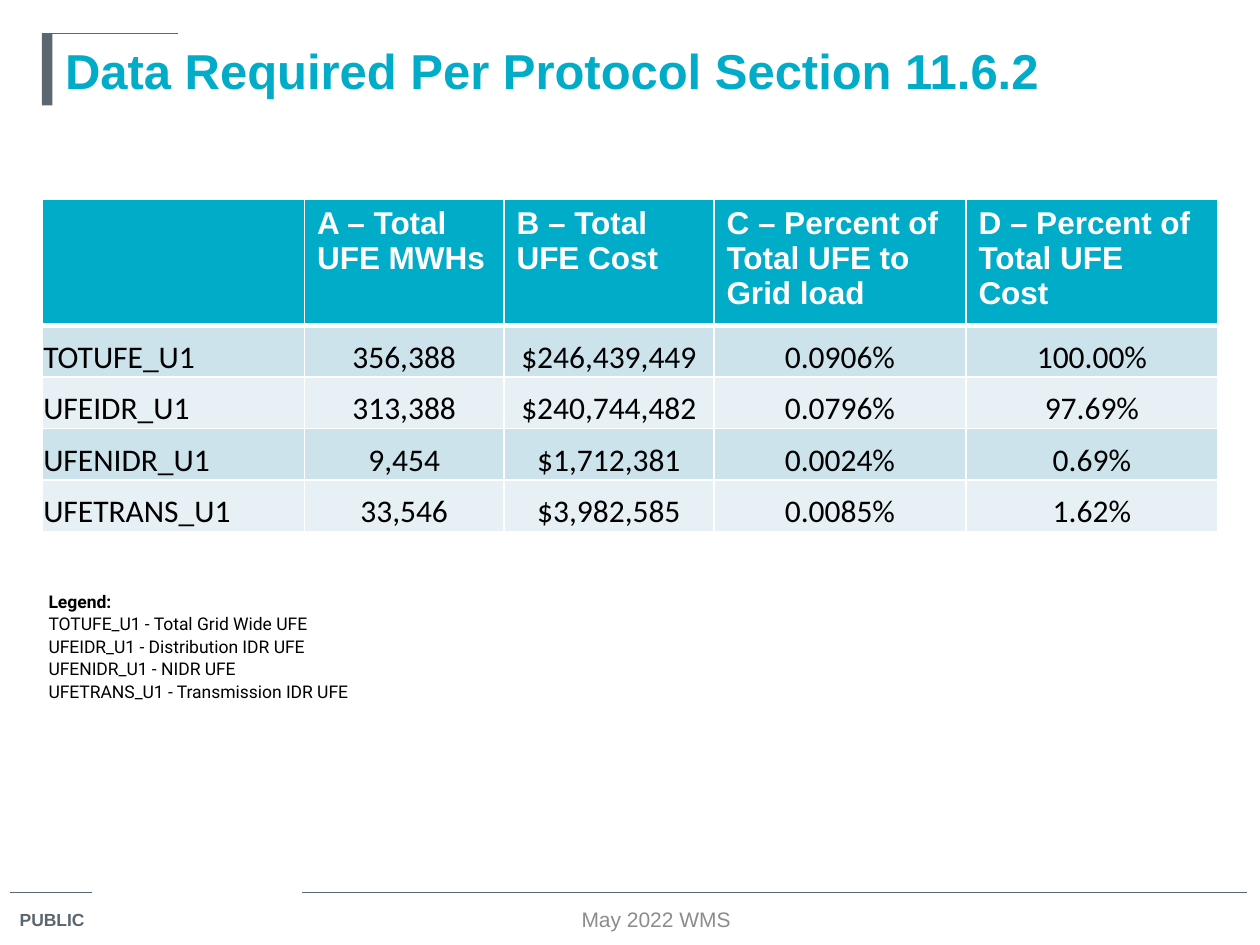
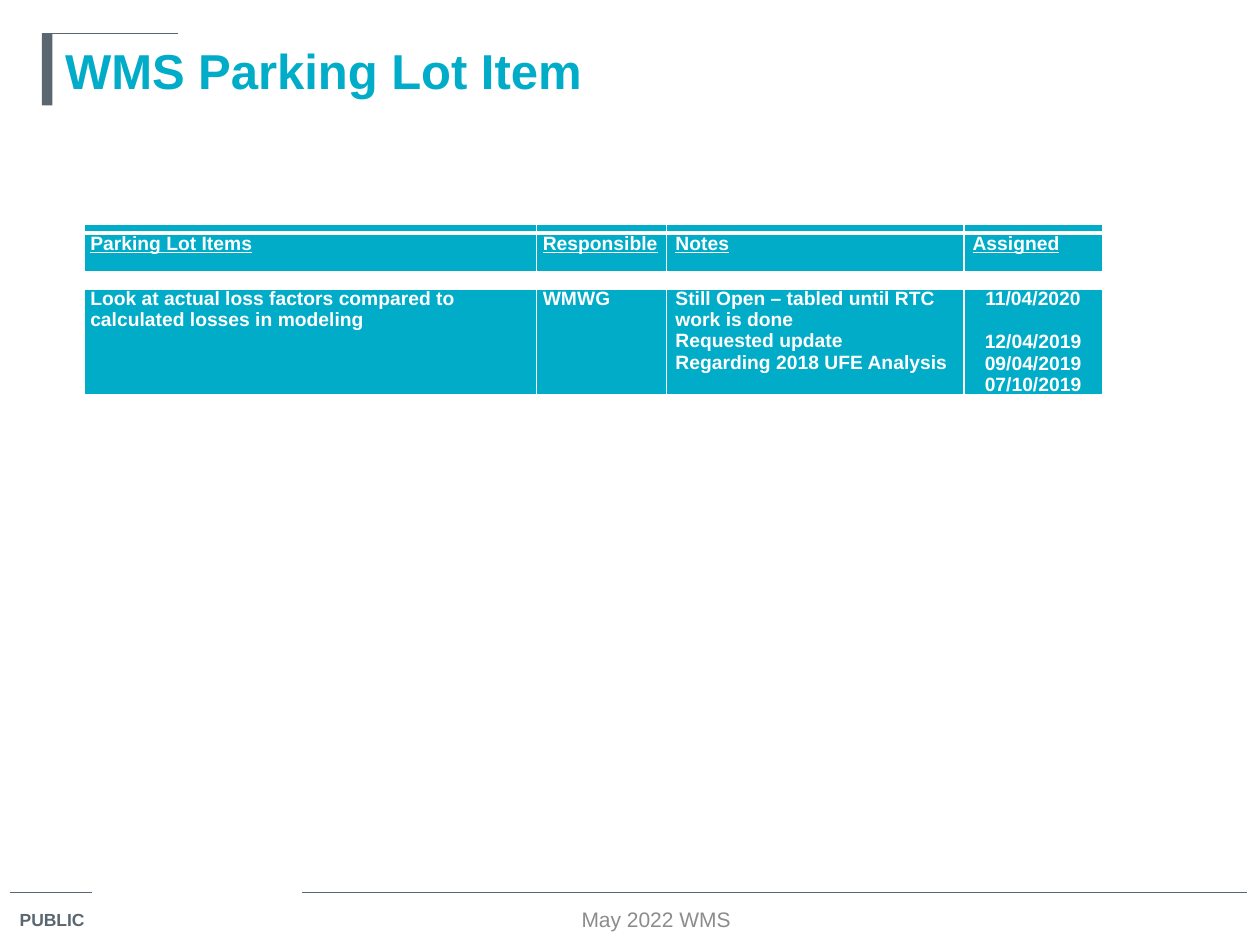
"""Builds the two UFE report slides."""
from dataclasses import dataclass, replace
from typing import NamedTuple, Optional

from lxml.etree import SubElement
from pptx import Presentation
from pptx.dml.color import RGBColor
from pptx.enum.shapes import MSO_CONNECTOR, MSO_SHAPE
from pptx.enum.text import MSO_ANCHOR as Anchor, MSO_AUTO_SIZE, PP_ALIGN as Align
from pptx.oxml.ns import qn
from pptx.util import Inches, Pt

SLIDE_W, SLIDE_H = Inches(10), Inches(7.5)
GRID_COLS, GRID_ROWS = 120, 90
TEAL, SLATE, GREY, WHITE, BLACK = "00ACC8", "5B6770", "8C8C8C", "FFFFFF", "000000"
BANDS = ("CCE3EB", "E7F1F5")


class Box(NamedTuple):
    left: float
    top: float
    width: float
    height: float


class Rule(NamedTuple):
    x1: float
    y1: float
    x2: float
    y2: float


class Inset(NamedTuple):
    left: float
    top: float
    right: float
    bottom: float


@dataclass(frozen=True)
class Style:
    size: float
    color: str
    font: str = "Arial"
    bold: bool = False
    underline: bool = False
    align: Align = Align.LEFT
    anchor: Anchor = Anchor.TOP
    inset: Inset = Inset(1.2, 0.6, 1.2, 0.6)
    fill: Optional[str] = None
    first_gap: float = 0


@dataclass(frozen=True)
class Row:
    height: float
    texts: tuple[str, ...]
    styles: tuple[Style, ...]
    top: float = 1
    bottom: float = 1
    merged: bool = False


TITLE = Style(28, TEAL, bold=True, anchor=Anchor.MIDDLE)
LABEL = Style(10, SLATE, bold=True)
FOOTER = Style(12, GREY, align=Align.CENTER, anchor=Anchor.MIDDLE)
TITLE_BOX = Box(5, 3.2, 111, 6.85)
LABEL_BOX = Box(0.7, 86, 9.25, 3.35)
FOOTER_BOX = Box(36, 86, 53, 3)
BAR = Box(4, 3.2, 1, 6.85)
RULES = (Rule(1, 85, 8.8, 85), Rule(28.8, 85, 118.8, 85), Rule(4, 3.2, 17, 3.2))

HEAD = Style(18, WHITE, bold=True, fill=TEAL)
TIGHT = Inset(0.12, 0.12, 0.12, 0)
NAME = Style(18, BLACK, "Calibri", anchor=Anchor.BOTTOM, inset=TIGHT)
LEGEND = Style(10, BLACK, "Roboto", anchor=Anchor.BOTTOM, inset=TIGHT)
ITEM = Style(11, WHITE, bold=True, inset=Inset(0.6, 0, 0.6, 0.6), fill=TEAL)
NOTE = replace(ITEM, inset=Inset(0.84, 0, 0.84, 0))
DATE = replace(NOTE, align=Align.CENTER, first_gap=12.65)
ITEM_STYLES = (ITEM, ITEM, NOTE, DATE)
ITEM_HEADS = tuple(replace(s, underline=True) for s in (ITEM, ITEM, NOTE, NOTE))

UFE_COLS = (25, 19, 20, 24, 24)
UFE_HEADS = ("", "A – Total\nUFE MWHs", "B – Total\nUFE Cost",
             "C – Percent of\nTotal UFE to\nGrid load",
             "D – Percent of\nTotal UFE\nCost")
UFE_VALUES = (
    ("TOTUFE_U1", "356,388", "$246,439,449", "0.0906%", "100.00%"),
    ("UFEIDR_U1", "313,388", "$240,744,482", "0.0796%", "97.69%"),
    ("UFENIDR_U1", "9,454", "$1,712,381", "0.0024%", "0.69%"),
    ("UFETRANS_U1", "33,546", "$3,982,585", "0.0085%", "1.62%"),
)
LEGEND_COLS = (19.35, 23.4)
LEGEND_LINES = (
    "TOTUFE_U1 - Total Grid Wide UFE",
    "UFEIDR_U1 - Distribution IDR UFE",
    "UFENIDR_U1 - NIDR UFE",
    "UFETRANS_U1 - Transmission IDR UFE",
)
ITEM_COLS = (43.1, 12.4, 28.3, 13.2)
ITEM_TITLES = ("Parking Lot Items", "Responsible", "Notes", "Assigned")
ITEM_TEXTS = (
    "Look at actual loss factors compared to calculated losses in modeling",
    "WMWG",
    "Still Open – tabled until RTC work is done\nRequested update\n"
    "Regarding 2018 UFE Analysis",
    "11/04/2020\n12/04/2019\n09/04/2019\n07/10/2019",
)


def rgb(color: str) -> RGBColor:
    return RGBColor.from_string(color)


def gx(cols: float) -> int:
    return round(SLIDE_W * cols / GRID_COLS)


def gy(rows: float) -> int:
    return round(SLIDE_H * rows / GRID_ROWS)


def place(box: Box) -> tuple[int, int, int, int]:
    return gx(box.left), gy(box.top), gx(box.width), gy(box.height)


def set_insets(holder, inset: Inset) -> None:
    holder.margin_left, holder.margin_right = gx(inset.left), gx(inset.right)
    holder.margin_top, holder.margin_bottom = gy(inset.top), gy(inset.bottom)


def write(tf, text: str, style: Style) -> None:
    for i, line in enumerate(text.split("\n")):
        p = tf.add_paragraph() if i else tf.paragraphs[0]
        p.alignment = style.align
        p.space_before = Pt(0)
        p.space_after = Pt(0 if i else style.first_gap)
        r = p.add_run()
        r.text = line
        font = r.font
        font.name, font.size = style.font, Pt(style.size)
        font.bold, font.underline = style.bold, style.underline
        font.color.rgb = rgb(style.color)


def fill_text(sp, text: str, style: Style) -> None:
    tf = sp.text_frame
    tf.word_wrap = True
    tf.auto_size = MSO_AUTO_SIZE.NONE
    tf.vertical_anchor = style.anchor
    set_insets(tf, style.inset)
    write(tf, text, style)


def add_text(slide, box: Box, text: str, style: Style) -> None:
    fill_text(slide.shapes.add_textbox(*place(box)), text, style)


def add_rule(slide, rule: Rule) -> None:
    ends = gx(rule.x1), gy(rule.y1), gx(rule.x2), gy(rule.y2)
    line = slide.shapes.add_connector(MSO_CONNECTOR.STRAIGHT, *ends)
    line.line.color.rgb = rgb(SLATE)
    line.line.width = Pt(0.75)
    SubElement(line._element.spPr, qn("a:effectLst"))


def add_border(cell, side: str, width: float) -> None:
    ln = SubElement(cell._tc.get_or_add_tcPr(), qn(f"a:ln{side}"), w=str(Pt(width)))
    SubElement(SubElement(ln, qn("a:solidFill")), qn("a:srgbClr"), val=WHITE)


def format_cell(cell, text: str, style: Style, row: Row) -> None:
    for side, width in zip("LRTB", (1, 1, row.top, row.bottom)):
        add_border(cell, side, width)
    if style.fill:
        cell.fill.solid()
        cell.fill.fore_color.rgb = rgb(style.fill)
    else:
        cell.fill.background()
    cell.vertical_anchor = style.anchor
    if text:
        set_insets(cell, style.inset)
        write(cell.text_frame, text, style)
    else:
        set_insets(cell, Inset(0, 0, 0, 0))
        SubElement(cell.text_frame.paragraphs[0]._p, qn("a:endParaRPr"), sz="100")


def add_grid(slide, left: float, top: float, cols: tuple[float, ...],
             rows: list[Row]) -> None:
    box = Box(left, top, sum(cols), sum(row.height for row in rows))
    table = slide.shapes.add_table(len(rows), len(cols), *place(box)).table
    table.first_row = table.horz_banding = False
    for column, width in zip(table.columns, cols):
        column.width = gx(width)
    for i, row in enumerate(rows):
        table.rows[i].height = gy(row.height)
        for j, (text, style) in enumerate(zip(row.texts, row.styles)):
            format_cell(table.cell(i, j), text, style, row)
        if row.merged:
            table.cell(i, 0).merge(table.cell(i, len(cols) - 1))


def add_page(prs, title: str):
    slide = prs.slides.add_slide(prs.slide_layouts[5])
    for rule in RULES:
        add_rule(slide, rule)
    bar = slide.shapes.add_shape(MSO_SHAPE.RECTANGLE, *place(BAR))
    bar.shadow.inherit = False
    bar.fill.solid()
    bar.fill.fore_color.rgb = rgb(SLATE)
    bar.line.fill.background()
    add_text(slide, LABEL_BOX, "PUBLIC", LABEL)
    add_text(slide, FOOTER_BOX, "May 2022 WMS", FOOTER)
    sp = slide.shapes.title
    sp.left, sp.top, sp.width, sp.height = place(TITLE_BOX)
    fill_text(sp, title, TITLE)
    return slide


def add_ufe_slide(prs) -> None:
    slide = add_page(prs, "Data Required Per Protocol Section 11.6.2")
    rows = [Row(12, UFE_HEADS, (HEAD,) * 5, bottom=3)]
    for i, values in enumerate(UFE_VALUES):
        name = replace(NAME, fill=BANDS[i % 2])
        number = replace(name, align=Align.CENTER)
        rows.append(Row(4.9, values, (name,) + (number,) * 4, top=1 if i else 3))
    add_grid(slide, 4, 19, UFE_COLS, rows)
    legend = [Row(2.14, ("Legend:", ""), (replace(LEGEND, bold=True), LEGEND))]
    legend += [Row(2.14, (line, ""), (LEGEND,) * 2, merged=True)
               for line in LEGEND_LINES]
    add_grid(slide, 4.5, 56.2, LEGEND_COLS, legend)


def add_parking_slide(prs) -> None:
    slide = add_page(prs, "WMS Parking Lot Item")
    heads = [Row(0.8, ("",) * 4, ITEM_HEADS, bottom=3),
             Row(3.7, ITEM_TITLES, ITEM_HEADS, top=3)]
    add_grid(slide, 8, 21.4, ITEM_COLS, heads)
    items = [Row(10.3, ITEM_TEXTS, ITEM_STYLES, top=3, bottom=3)]
    add_grid(slide, 8, 27.4, ITEM_COLS, items)


def main() -> None:
    prs = Presentation()
    prs.slide_width, prs.slide_height = SLIDE_W, SLIDE_H
    add_ufe_slide(prs)
    add_parking_slide(prs)
    prs.save("out.pptx")


if __name__ == "__main__":
    main()
